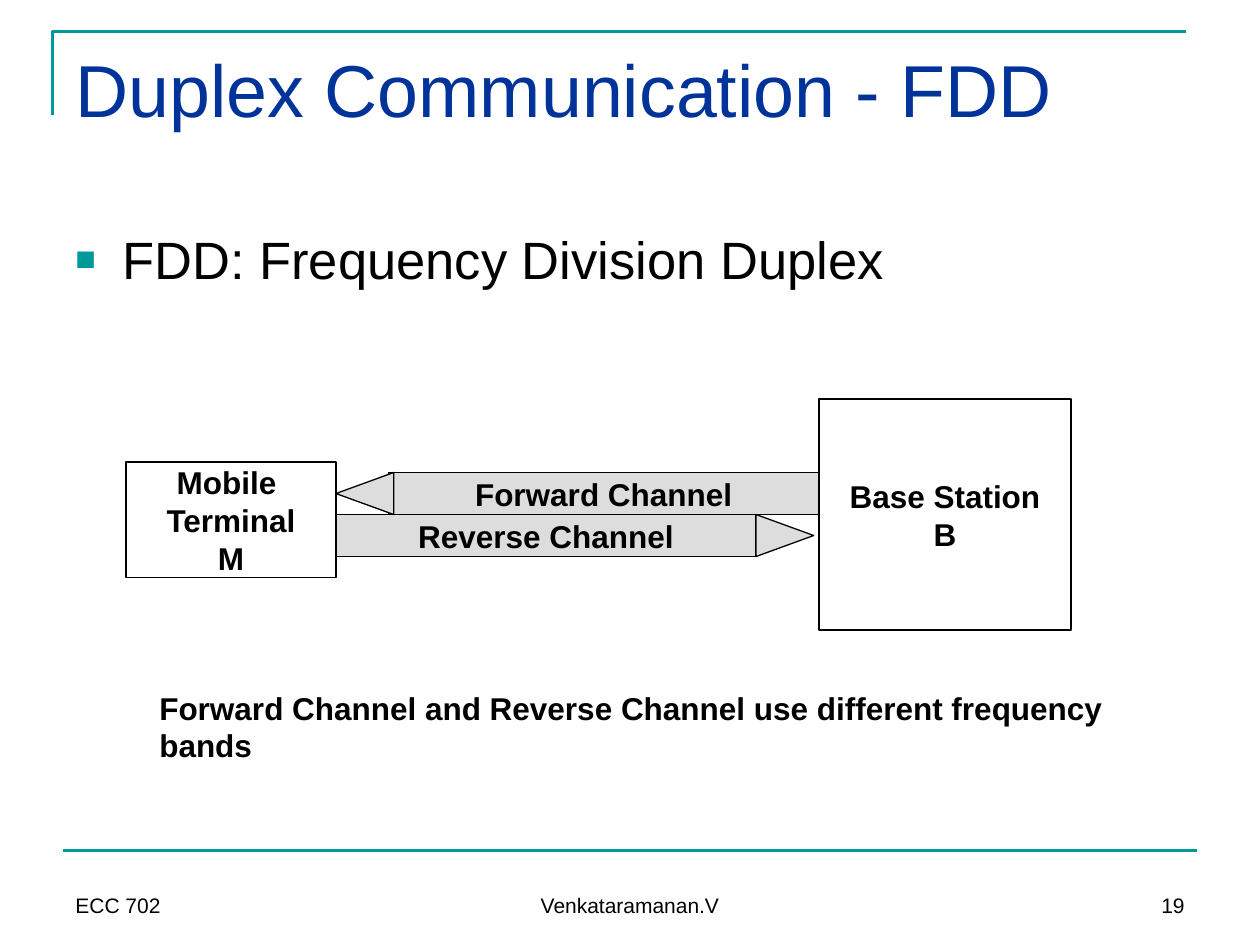
from lxml.etree import SubElement
from pptx import Presentation
from pptx.dml.color import RGBColor
from pptx.enum.shapes import MSO_CONNECTOR, MSO_SHAPE
from pptx.enum.text import MSO_ANCHOR, PP_ALIGN
from pptx.oxml.ns import qn
from pptx.util import Pt

HUES = {"teal": "009999", "navy": "003399", "black": "000000",
        "white": "FFFFFF", "grey": "DDDDDD"}


def hue(name):
    return RGBColor.from_string(HUES[name])


def write(shape, text, size, color="black", bold=False,
          align=PP_ALIGN.LEFT, anchor=MSO_ANCHOR.TOP, wrap=True):
    frame = shape.text_frame
    frame.text = text
    frame.word_wrap = wrap
    frame.vertical_anchor = anchor
    for para in frame.paragraphs:
        para.alignment = align
        for run in para.runs:
            font = run.font
            font.name, font.size, font.bold = "Arial", Pt(size), bold
            font.color.rgb = hue(color)


def add_text(slide, box, text, size, **style):
    shape = slide.shapes.add_textbox(*map(Pt, box))
    write(shape, text, size, **style)
    return shape


def add_block(slide, box, fill, text="", kind=MSO_SHAPE.RECTANGLE, turn=0):
    shape = slide.shapes.add_shape(kind, *map(Pt, box))
    shape.shadow.inherit = False
    shape.fill.solid()
    shape.fill.fore_color.rgb = hue(fill)
    shape.line.color.rgb = hue("black")
    shape.line.width = Pt(0.75)
    shape.rotation = turn
    if text:
        write(shape, text, 18, bold=True, align=PP_ALIGN.CENTER,
              anchor=MSO_ANCHOR.MIDDLE, wrap=False)


def add_head(slide, box, turn):
    """Triangle that fills the box once it is turned on its side."""
    left, top, width, height = box
    shift = (width - height) / 2
    add_block(slide, (left + shift, top - shift, height, width), "grey",
              kind=MSO_SHAPE.ISOSCELES_TRIANGLE, turn=turn)


def add_frame(slide, box):
    """Corner rule around the title and the rule over the footer."""
    left, top, width, height = box
    build = slide.shapes.build_freeform(Pt(left), Pt(top + 48))
    build.add_line_segments([(Pt(left), Pt(top)),
                             (Pt(left + width), Pt(top))], close=False)
    corner = build.convert_to_shape()
    corner.shadow.inherit = False
    corner.fill.background()
    base = slide.shapes.add_connector(
        MSO_CONNECTOR.STRAIGHT, Pt(left + 6), Pt(top + height),
        Pt(left + width + 6), Pt(top + height))
    SubElement(base._element.spPr, qn("a:effectLst"))
    for rule in (corner, base):
        rule.line.color.rgb = hue("teal")
        rule.line.width = Pt(1.5)


def add_title(slide, box):
    title = slide.shapes.title
    title.left, title.top, title.width, title.height = map(Pt, box)
    write(title, "Duplex Communication - FDD", 42, color="navy")


def add_body(slide, box):
    shape = add_text(slide, box, "FDD: Frequency Division Duplex", 30)
    para = shape.text_frame.paragraphs[0]
    para.space_before = Pt(6)
    props = para._p.get_or_add_pPr()
    props.set("marL", str(Pt(27)))
    props.set("indent", str(-Pt(27)))
    color = SubElement(props, qn("a:buClr"))
    SubElement(color, qn("a:srgbClr"), val=HUES["teal"])
    SubElement(props, qn("a:buSzPct"), val="65000")
    SubElement(props, qn("a:buFont"), typeface="Arial")
    SubElement(props, qn("a:buChar"), char="■")


def add_link(slide, box):
    """Mobile terminal and base station, joined by two channels."""
    left, top, width, height = box
    term, base, band, tip = 120, 144, 24, 33
    start, end = left + term, left + width - base
    mid = top + height / 2
    add_block(slide, (end, top, base, height), "white", "Base Station\nB")
    add_block(slide, (left, top + 36, term, 66), "white",
              "Mobile \vTerminal\nM")
    add_block(slide, (start + 30, mid - band, end - start - 30, band),
              "grey", "Forward Channel")
    add_block(slide, (start, mid, end - start - 36, band),
              "grey", "Reverse Channel")
    add_head(slide, (end - 36, mid, tip, band), 90)
    add_head(slide, (start, mid - band, tip, band), 270)


def add_footer(slide, box):
    left, top, width, height = box
    side, mid = 168, 228
    parts = [("ECC 702", 0, side, PP_ALIGN.LEFT),
             ("Venkataramanan.V", (width - mid) / 2, mid, PP_ALIGN.CENTER),
             ("19", width - side, side, PP_ALIGN.RIGHT)]
    for text, shift, span, align in parts:
        add_text(slide, (left + shift, top, span, height), text, 12,
                 align=align, anchor=MSO_ANCHOR.BOTTOM)


def main():
    deck = Presentation()
    deck.slide_width, deck.slide_height = Pt(720), Pt(540)
    slide = deck.slides.add_slide(deck.slide_layouts[5])
    add_frame(slide, (30, 18, 648, 468))
    add_title(slide, (36, 21.6, 648, 90))
    add_body(slide, (36, 126, 648, 356))
    add_link(slide, (72, 228, 540, 132))
    add_text(slide, (84, 390, 559, 50),
             "Forward Channel and Reverse Channel use different frequency\n"
             "bands", 18, bold=True, wrap=False)
    add_footer(slide, (36, 492, 648, 36))
    deck.save("out.pptx")


if __name__ == "__main__":
    main()
